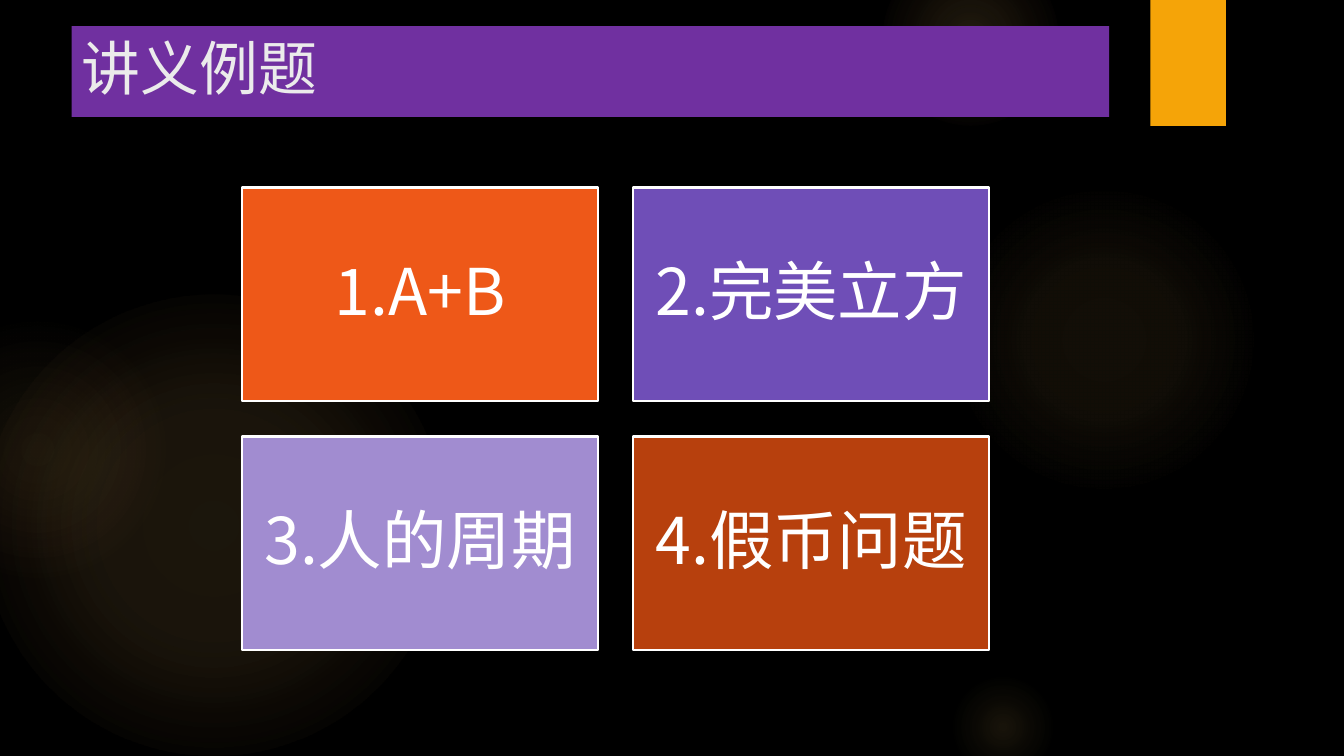
from lxml.etree import SubElement
from pptx import Presentation
from pptx.dml.color import RGBColor as RGB
from pptx.enum.shapes import MSO_SHAPE as Shape
from pptx.enum.text import MSO_ANCHOR as Anchor, MSO_AUTO_SIZE as Auto, PP_ALIGN as Align
from pptx.oxml import parse_xml
from pptx.oxml.ns import nsdecls, qn
from pptx.util import Inches, Pt

BLACK = RGB(0x00, 0x00, 0x00)
WHITE = RGB(0xFF, 0xFF, 0xFF)
PALE = RGB(0xEB, 0xEB, 0xEB)
PURPLE = RGB(0x70, 0x30, 0xA0)
GOLD = RGB(0xF5, 0xA4, 0x08)
GLOW = RGB(0xFA, 0xC9, 0x6A)
ROSE = RGB(0xF5, 0x9B, 0x74)

# Left, top, size, then centre and middle opacity, middle and edge stop (percent), edge colour
LIGHTS = [
    (-0.17, 2.92, 4.58, 11, 10, 36, 75, GLOW),
    (-0.92, 3.17, 2.58, 8, 5, 36, 71, ROSE),
    (9.41, 1.83, 3.08, 7, 6, 36, 69, GLOW),
    (8.75, -0.5, 1.75, 14, 7, 36, 73, GLOW),
    (9.41, 6.67, 1.08, 10, 5, 31, 66, GLOW),
]
CARDS = [
    ("1.A+B", RGB(0xEE, 0x58, 0x18)),
    ("2.完美立方", RGB(0x6F, 0x4E, 0xB7)),
    ("3.人的周期", RGB(0xA1, 0x8C, 0xD0)),
    ("4.假币问题", RGB(0xB7, 0x40, 0x0D)),
]
COLS = 2
LEFT, TOP = 2.4, 1.86
WIDE, HIGH = 3.53, 2.12
GAP = 0.35


def add_form(slide, kind, left, top, wide, high):
    form = slide.shapes.add_shape(
        kind, Inches(left), Inches(top), Inches(wide), Inches(high))
    form.shadow.inherit = False
    form.line.fill.background()
    return form


def add_block(slide, left, top, wide, high, color):
    block = add_form(slide, Shape.RECTANGLE, left, top, wide, high)
    block.fill.solid()
    block.fill.fore_color.rgb = color
    return block


def add_light(slide, left, top, size, core, mid, turn, rim, edge):
    """Add a round light that fades out from its centre."""
    light = add_form(slide, Shape.OVAL, left, top, size, size)
    light.fill.background()
    stops = "".join(
        f'<a:gs pos="{at * 1000}"><a:srgbClr val="{color}">'
        f'<a:alpha val="{alpha * 1000}"/></a:srgbClr></a:gs>'
        for at, color, alpha in [(0, GLOW, core), (turn, GLOW, mid), (rim, edge, 0)])
    grad = parse_xml(
        f'<a:gradFill {nsdecls("a")} rotWithShape="1"><a:gsLst>{stops}</a:gsLst>'
        '<a:path path="circle"><a:fillToRect l="50000" t="50000" r="50000" b="50000"/>'
        '</a:path></a:gradFill>')
    props = light._element.spPr
    props.replace(props.find(qn("a:noFill")), grad)


def add_run(par, text, size, face, color):
    run = par.add_run()
    run.text = text
    run.font.size = Pt(size)
    run.font.name = face
    run.font.color.rgb = color
    return run


def set_title(slide, text):
    title = slide.shapes.title
    title.left, title.top = Inches(0.71), Inches(0.26)
    title.width, title.height = Inches(10.29), Inches(0.9)
    title.fill.solid()
    title.fill.fore_color.rgb = PURPLE
    frame = title.text_frame
    frame.word_wrap = True
    frame.auto_size = Auto.NONE
    frame.vertical_anchor = Anchor.TOP
    par = frame.paragraphs[0]
    par.alignment = Align.LEFT
    add_run(par, text, 42, "League Spartan", PALE)
    # Bring the title in front of the lights
    title._element.getparent().append(title._element)


def add_card(slide, spot, text, color):
    row, col = divmod(spot, COLS)
    card = add_block(slide, LEFT + col * (WIDE + GAP), TOP + row * (HIGH + GAP),
                     WIDE, HIGH, color)
    card.line.color.rgb = WHITE
    card.line.width = Pt(1.5)
    frame = card.text_frame
    frame.word_wrap = True
    frame.vertical_anchor = Anchor.MIDDLE
    frame.margin_left = frame.margin_right = Inches(0.19)
    frame.margin_top = frame.margin_bottom = Inches(0.19)
    par = frame.paragraphs[0]
    par.alignment = Align.CENTER
    par.line_spacing = 0.9
    face = "Noto Sans CJK SC"
    run = add_run(par, text, 46, face, WHITE)
    SubElement(run.font._element, qn("a:ea"), typeface=face)


def main():
    deck = Presentation()
    deck.slide_width, deck.slide_height = Inches(13.33), Inches(7.5)
    slide = deck.slides.add_slide(deck.slide_layouts[5])
    slide.background.fill.solid()
    slide.background.fill.fore_color.rgb = BLACK
    for light in LIGHTS:
        add_light(slide, *light)
    add_block(slide, 11.41, 0, 0.75, 1.25, GOLD)
    set_title(slide, "讲义例题")
    for spot, (text, color) in enumerate(CARDS):
        add_card(slide, spot, text, color)
    deck.save("out.pptx")


if __name__ == "__main__":
    main()
